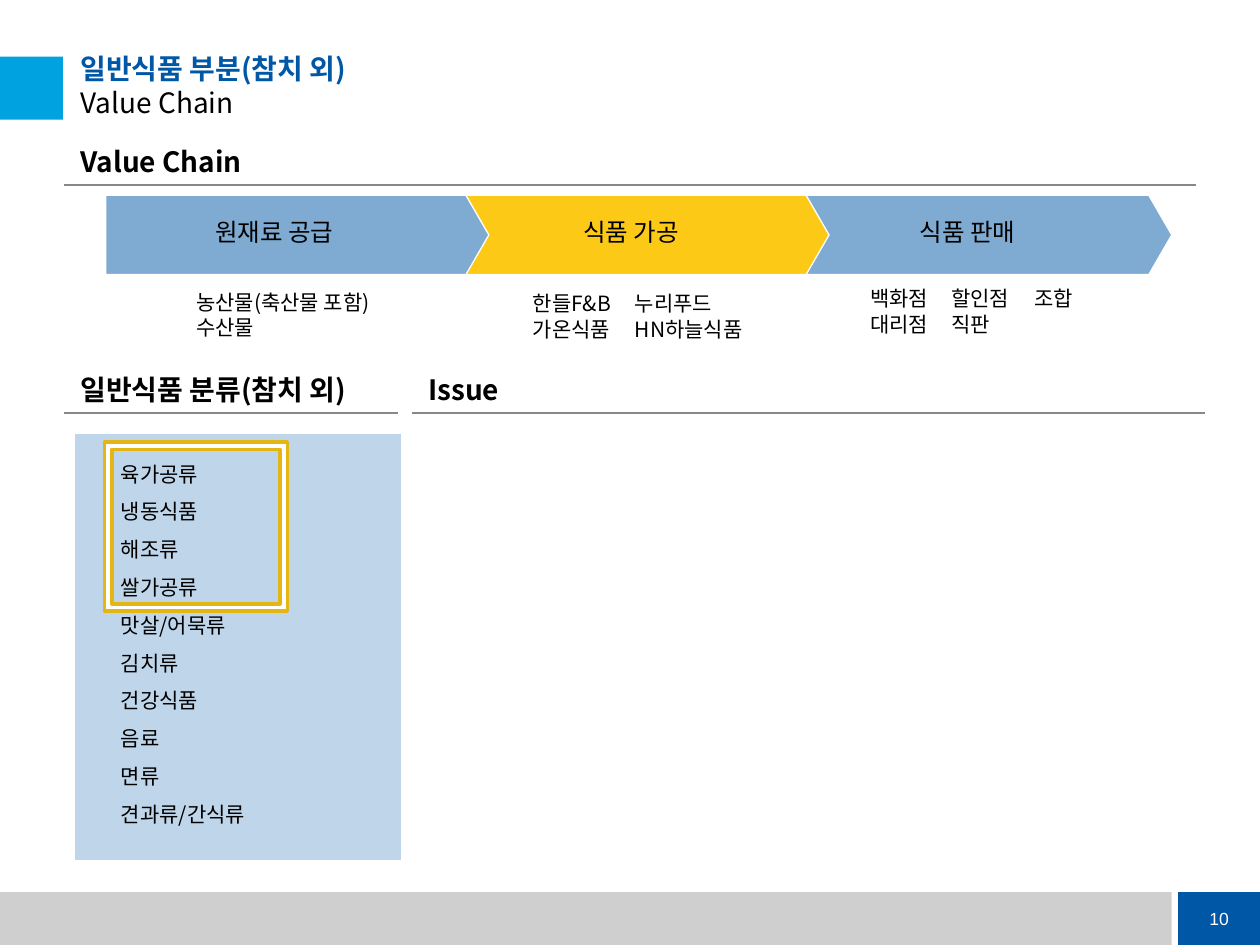
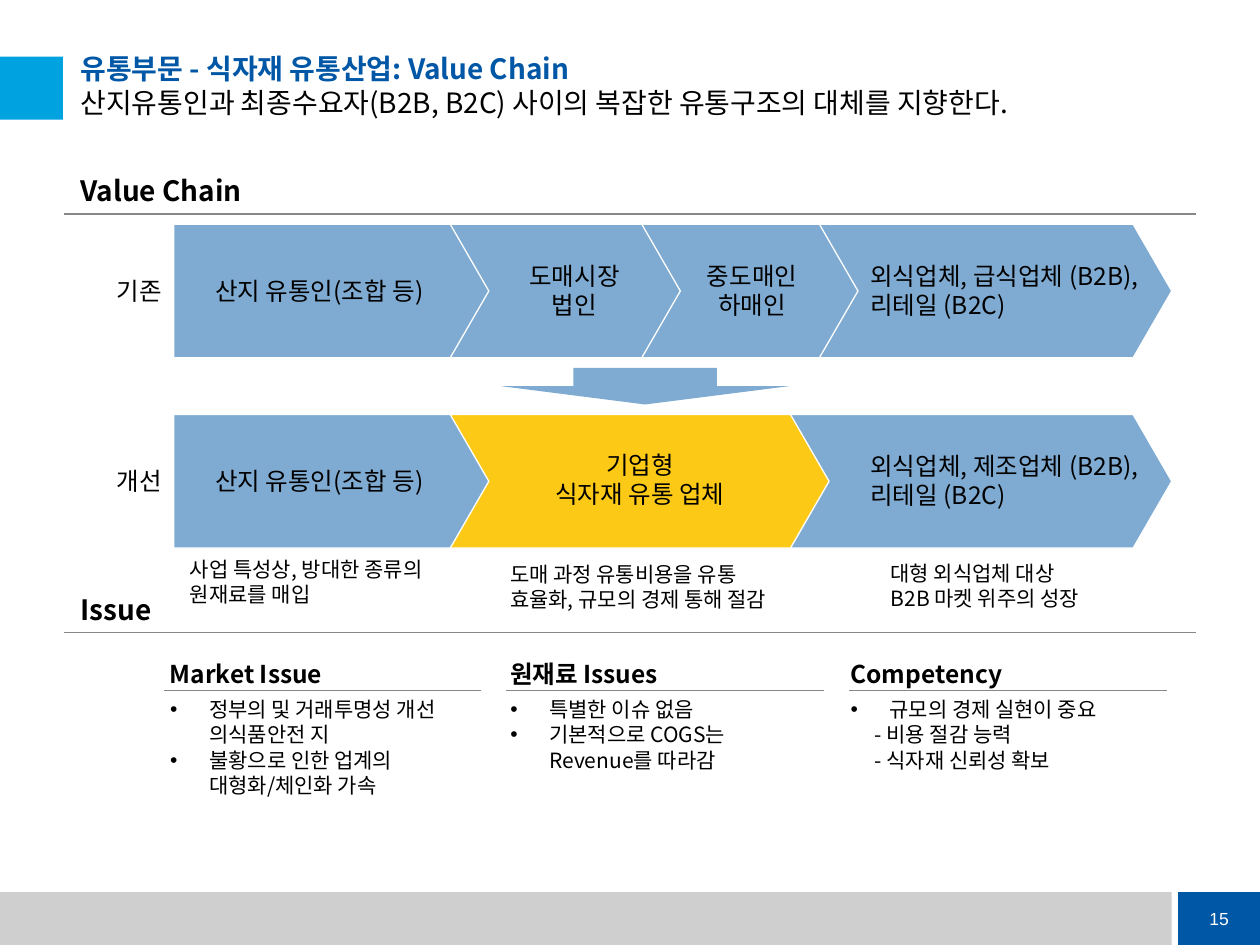
from lxml.etree import SubElement
from pptx import Presentation
from pptx.dml.color import RGBColor
from pptx.enum.shapes import MSO_CONNECTOR, MSO_SHAPE
from pptx.enum.text import MSO_ANCHOR, MSO_AUTO_SIZE, PP_ALIGN
from pptx.oxml.ns import qn
from pptx.util import Pt

EMU_PER_PX = 9144
FONT = "Noto Sans CJK KR"
COLORS = {
    "text": "000000",
    "white": "FFFFFF",
    "title": "0057A6",
    "accent": "00A2DF",
    "band": "CFCFCF",
    "stage": "7FABD2",
    "focus": "FCC917",
    "panel": "BFD5E9",
    "frame": "E4B614",
    "rule": "888888",
}
OLD_STAGES_Y, NEW_STAGES_Y = 178, 329
PLAIN, BULLET, DASH = (0, 0, None), (31, -31, "•"), (19, 0, None)


def px(*lengths):
    """Turn pixel lengths into EMU."""
    return [length * EMU_PER_PX for length in lengths]


def rgb(name):
    """Look up a colour of the palette."""
    return RGBColor.from_string(COLORS[name])


def add_run(paragraph, text, size, color="text", bold=False, font=FONT):
    """Add one formatted run to a paragraph."""
    run = paragraph.add_run()
    run.text = text
    run.font.size = Pt(size)
    run.font.bold = bold
    run.font.color.rgb = rgb(color)
    run.font.name = font
    SubElement(run.font._element, qn("a:ea"), typeface=font)


def set_indent(paragraph, style):
    """Set the indents and bullet of a paragraph."""
    left, hanging, bullet = style
    properties = paragraph._p.get_or_add_pPr()
    properties.set("marL", str(left * EMU_PER_PX))
    properties.set("indent", str(hanging * EMU_PER_PX))
    if bullet:
        SubElement(properties, qn("a:buFont"), typeface="Arial")
        SubElement(properties, qn("a:buChar"), char=bullet)
    else:
        SubElement(properties, qn("a:buNone"))


def write(frame, lines, size, bold=False, align=PP_ALIGN.LEFT, spacing=1.0,
          styles=None):
    """Write lines of text into a frame, one paragraph each."""
    frame.word_wrap = True
    frame.auto_size = MSO_AUTO_SIZE.NONE
    frame.vertical_anchor = MSO_ANCHOR.TOP
    for index, line in enumerate(lines):
        paragraph = frame.paragraphs[0] if index == 0 else frame.add_paragraph()
        set_indent(paragraph, styles[index] if styles else PLAIN)
        paragraph.alignment = align
        paragraph.line_spacing = spacing
        paragraph.space_before = Pt(0)
        add_run(paragraph, line, size, bold=bold)


def clear_margins(frame):
    """Remove the inner margins of a text frame."""
    frame.margin_left = frame.margin_top = 0
    frame.margin_right = frame.margin_bottom = 0


def add_label(slide, box, lines, size=12, **options):
    """Add a text box with its lines."""
    label = slide.shapes.add_textbox(*px(*box))
    write(label.text_frame, lines, size, **options)
    return label


def fill_list(body, box, lines, **options):
    """Place a body placeholder in front and write its list."""
    body.element.getparent().append(body.element)
    body.left, body.top, body.width, body.height = px(*box)
    frame = body.text_frame
    frame.margin_left, frame.margin_top = px(10, 5)
    frame.margin_right, frame.margin_bottom = px(10, 5)
    write(frame, lines, 12, **options)


def add_block(slide, kind, box, fill, line=None, weight=0.75, adjust=None):
    """Add a filled preset shape."""
    block = slide.shapes.add_shape(kind, *px(*box))
    block.shadow.inherit = False
    block.fill.solid()
    block.fill.fore_color.rgb = rgb(fill)
    if line:
        block.line.color.rgb = rgb(line)
        block.line.width = Pt(weight)
    else:
        block.line.fill.background()
    if adjust is not None:
        block.adjustments[0] = adjust
    return block


def add_stages(slide, top, height, stages):
    """Add a chain of overlapping stages, the last one at the back."""
    for left, width, fill in reversed(stages):
        add_block(slide, MSO_SHAPE.PENTAGON, (left, top, width, height), fill,
                  "white", adjust=0.289)


def add_rule(slide, left, right, y):
    """Add a thin horizontal rule."""
    rule = slide.shapes.add_connector(MSO_CONNECTOR.STRAIGHT, *px(left, y, right, y))
    rule.line.color.rgb = rgb("rule")
    rule.line.width = Pt(1)
    SubElement(rule._element.spPr, qn("a:effectLst"))


def add_section(slide, heading, left, right, rule_y):
    """Add a section heading above its rule."""
    box = (left + 13, rule_y - 32, right - left - 13, 25)
    label = add_label(slide, box, [heading], 16, bold=True)
    clear_margins(label.text_frame)
    add_rule(slide, left, right, rule_y)


def start_slide(deck, layout, headline, message, number):
    """Add a slide with its title, bands and page number."""
    slide = deck.slides.add_slide(deck.slide_layouts[layout])
    add_block(slide, MSO_SHAPE.RECTANGLE, (0, 708, 930, 42), "band")
    page = add_block(slide, MSO_SHAPE.RECTANGLE, (935, 708, 65, 42), "title")
    page.text_frame.word_wrap = False
    page.text_frame.vertical_anchor = MSO_ANCHOR.MIDDLE
    page_line = page.text_frame.paragraphs[0]
    page_line.alignment = PP_ALIGN.CENTER
    add_run(page_line, number, 10, "white", font="Arial")
    add_block(slide, MSO_SHAPE.RECTANGLE, (0, 45, 50, 50), "accent")

    title = slide.shapes.title
    title.left, title.top, title.width, title.height = px(64, 41, 870, 66)
    frame = title.text_frame
    clear_margins(frame)
    frame.word_wrap = True
    frame.auto_size = MSO_AUTO_SIZE.NONE
    frame.vertical_anchor = MSO_ANCHOR.TOP
    paragraph = frame.paragraphs[0]
    paragraph.alignment = PP_ALIGN.LEFT
    add_run(paragraph, headline, 16, "title", bold=True)
    paragraph.add_line_break()
    add_run(paragraph, message, 16)
    return slide


def build_food_slide(deck):
    """Build the value chain of general foods."""
    slide = start_slide(deck, 1, "일반식품 부분(참치 외)", "Value Chain", "10")
    add_section(slide, "Value Chain", 51, 949, 147)
    add_stages(slide, 155, 63, [(84, 304, "stage"), (354, 304, "focus"),
                                (626, 304, "stage")])
    for left, stage in ((161, "원재료 공급"), (453, "식품 가공"), (720, "식품 판매")):
        add_label(slide, (left, 167, 236, 34), [stage], 14)
    for left, top, width, members in (
            (146, 225, 181, ["농산물(축산물 포함)", "수산물"]),
            (413, 226, 90, ["한들F&B", "가온식품"]),
            (494, 226, 130, ["누리푸드", "HN하늘식품"]),
            (681, 222, 80, ["백화점", "대리점"]),
            (745, 222, 80, ["할인점", "직판"]),
            (811, 222, 80, ["조합"])):
        add_label(slide, (left, top, width, 50), members)

    add_section(slide, "일반식품 분류(참치 외)", 51, 316, 328)
    add_section(slide, "Issue", 327, 956, 328)
    add_block(slide, MSO_SHAPE.RECTANGLE, (59, 344, 260, 339), "panel", "white")
    categories = ["육가공류", "냉동식품", "해조류", "쌀가공류", "맛살/어묵류",
                  "김치류", "건강식품", "음료", "면류", "견과류/간식류"]
    fill_list(slide.placeholders[1], (86, 351, 145, 313), categories, spacing=1.5)
    add_block(slide, MSO_SHAPE.FRAME, (83, 351, 145, 134), "white", "frame",
              weight=2, adjust=0.043)


def build_distribution_slide(deck):
    """Build the value chain of food distribution."""
    slide = start_slide(
        deck, 4, "유통부문 - 식자재 유통산업: Value Chain",
        "산지유통인과 최종수요자(B2B, B2C) 사이의 복잡한 유통구조의 대체를 지향한다.", "15")
    add_section(slide, "Value Chain", 51, 949, 170)
    origin, buyers = (138, 250, "stage"), (626, 304, "stage")
    add_stages(slide, OLD_STAGES_Y, 106, [origin, (354, 186, "stage"),
                                          (485, 196, "stage"), buyers])
    add_stages(slide, NEW_STAGES_Y, 106, [origin, (354, 304, "focus"), buyers])
    add_block(slide, MSO_SHAPE.DOWN_ARROW, (398, 292, 228, 29), "stage")

    for top, row, buyer in ((OLD_STAGES_Y, "기존", "급식업체"),
                            (NEW_STAGES_Y, "개선", "제조업체")):
        add_label(slide, (83, top + 36, 60, 34), [row], 14)
        add_label(slide, (161, top + 36, 236, 34), ["산지 유통인(조합 등)"], 14)
        add_label(slide, (681, top + 24, 236, 57),
                  [f"외식업체, {buyer} (B2B), 리테일 (B2C)"], 14)
    for box, lines in (((404, 202, 104, 57), ["도매시장", "법인"]),
                       ((545, 202, 104, 57), ["중도매인", "하매인"]),
                       ((420, 352, 176, 57), ["기업형", "식자재 유통 업체"])):
        add_label(slide, box, lines, 14, align=PP_ALIGN.CENTER)

    add_label(slide, (141, 437, 236, 50), ["사업 특성상, 방대한 종류의 원재료를 매입"])
    add_label(slide, (395, 441, 244, 50),
              ["도매 과정 유통비용을 유통 효율화, 규모의 경제 통해 절감"])
    add_label(slide, (697, 440, 236, 50), ["대형 외식업체 대상", "B2B 마켓 위주의 성장"])

    add_section(slide, "Issue", 51, 949, 502)
    issues = [
        ("Market Issue", ["정부의 및 거래투명성 개선 의식품안전 지",
                          "불황으로 인한 업계의 대형화/체인화 가속"], [BULLET] * 2),
        ("원재료 Issues", ["특별한 이슈 없음",
                        "기본적으로 COGS는 Revenue를 따라감"], [BULLET] * 2),
        ("Competency", ["규모의 경제 실현이 중요", "- 비용 절감 능력",
                        "- 식자재 신뢰성 확보"], [BULLET, DASH, DASH]),
    ]
    for column, (heading, points, styles) in enumerate(issues):
        left, rule_left = 125 + 270 * column, 130 + 272 * column
        add_label(slide, (left, 518, 236, 34), [heading], 14, bold=True)
        add_rule(slide, rule_left, rule_left + 252, 548)
        fill_list(slide.placeholders[column + 1], (left, 548, 236, 91), points,
                  styles=styles)
    spare = slide.placeholders[4].element
    spare.getparent().remove(spare)


def main():
    """Build and save the deck."""
    deck = Presentation()
    deck.slide_width, deck.slide_height = px(1000, 750)
    build_food_slide(deck)
    build_distribution_slide(deck)
    deck.save("out.pptx")


if __name__ == "__main__":
    main()
